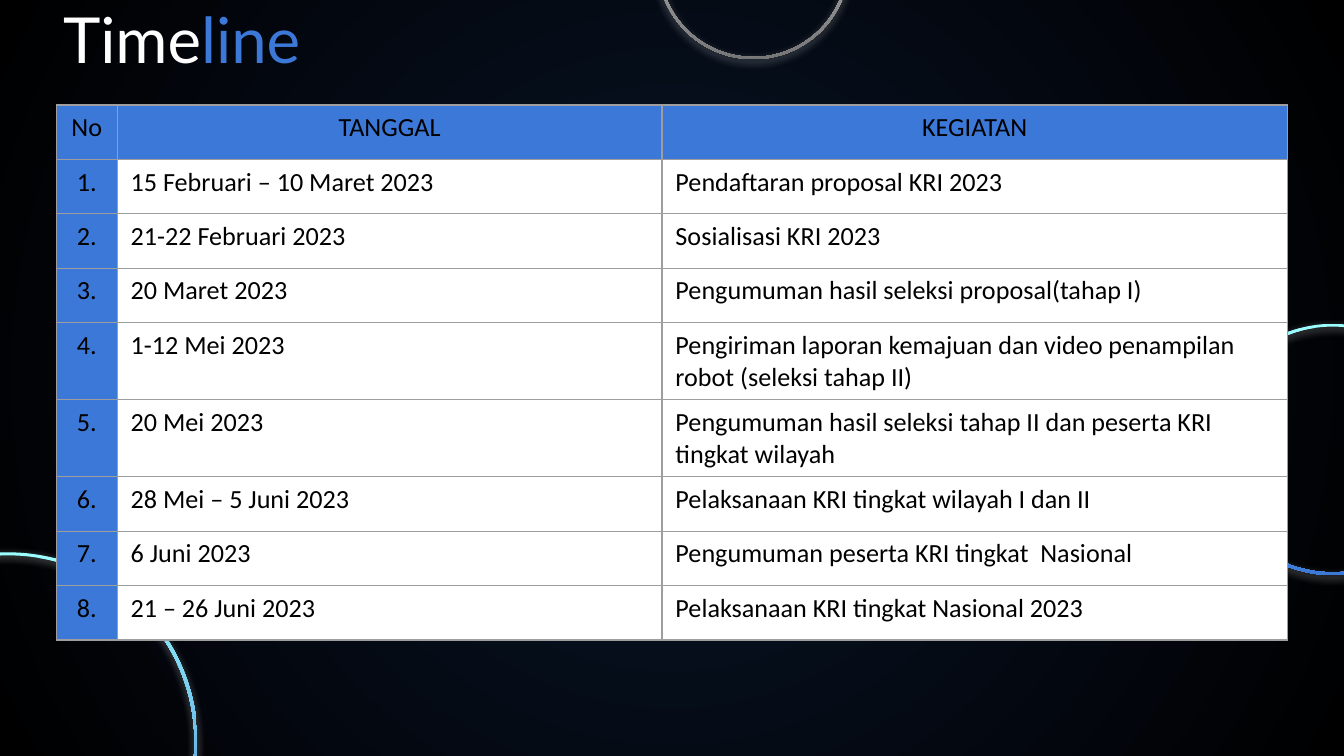
import pptx
import pptx.dml.color
import pptx.enum.shapes
import pptx.enum.text
import pptx.oxml
import pptx.oxml.ns
import pptx.util

Pt = pptx.util.Pt
PP_ALIGN = pptx.enum.text.PP_ALIGN
NS = pptx.oxml.ns.nsdecls("a")

BLUE, CYAN, WHITE, BLACK, GREY = "3C78D8", "9CFFFF", "FFFFFF", "000000", "9E9E9E"
TITLE = [("Time", WHITE), ("line", BLUE)]
HEADER = ("No", "TANGGAL", "KEGIATAN")
EVENTS = [
    ("15 Februari – 10 Maret 2023", "Pendaftaran proposal KRI 2023"),
    ("21-22 Februari 2023", "Sosialisasi KRI 2023"),
    ("20 Maret 2023", "Pengumuman hasil seleksi proposal(tahap I)"),
    ("1-12 Mei 2023", "Pengiriman laporan kemajuan dan video penampilan robot (seleksi tahap II)"),
    ("20 Mei 2023", "Pengumuman hasil seleksi tahap II dan peserta KRI tingkat wilayah"),
    ("28 Mei – 5 Juni 2023", "Pelaksanaan KRI tingkat wilayah I dan II"),
    ("6 Juni 2023", "Pengumuman peserta KRI tingkat  Nasional"),
    ("21 – 26 Juni 2023", "Pelaksanaan KRI tingkat Nasional 2023"),
]
RINGS = [
    (352.1, -71.3, 103, 0.012, ("CCCCCC", "767676")),
    (646.6, 173.5, 134.6, 0.011, (CYAN, BLUE)),
    (-97.2, 295.9, 203, 0.008, (CYAN, BLUE)),
]
COL_WIDTHS = (32.6, 291.9, 335)
ROW_HEIGHT = 29.16


def rgb(color):
    """Turn a hex string into a colour."""
    return pptx.dml.color.RGBColor.from_string(color)


def set_gradient(fill, colors):
    """Fill from top to bottom with two colours."""
    fill.gradient()
    fill.gradient_angle = 270
    for stop, color in zip(fill.gradient_stops, colors):
        stop.color.rgb = rgb(color)


def set_background(slide):
    """Give the slide a radial gradient."""
    set_gradient(slide.background.fill, ("09152A", BLACK))
    lin = next(slide.element.iter(pptx.oxml.ns.qn("a:lin")))
    lin.getparent().replace(lin, pptx.oxml.parse_xml(
        f'<a:path {NS} path="circle"><a:fillToRect l="50000" t="50000" r="50000" b="50000"/></a:path>'))


def add_ring(slide, left, top, size, thickness, colors):
    """Draw a thin glowing ring."""
    sp = slide.shapes.add_shape(pptx.enum.shapes.MSO_SHAPE.DONUT, Pt(left), Pt(top), Pt(size), Pt(size))
    sp.adjustments[0] = thickness
    set_gradient(sp.fill, colors)
    sp.line.fill.background()
    sp._element.spPr.append(pptx.oxml.parse_xml(
        f'<a:effectLst {NS}><a:outerShdw blurRad="{Pt(4.5)}" dist="{Pt(1.5)}" dir="5400000" '
        f'algn="bl" rotWithShape="0"><a:srgbClr val="{WHITE}"><a:alpha val="50000"/></a:srgbClr>'
        '</a:outerShdw></a:effectLst>'))


def set_title(sp):
    """Place and write the two-coloured title."""
    sp.left, sp.top, sp.width, sp.height = Pt(26.6), Pt(-7.2), Pt(219), Pt(45.4)
    tf = sp.text_frame
    tf.margin_left = tf.margin_right = tf.margin_top = tf.margin_bottom = Pt(7.2)
    tf.vertical_anchor = pptx.enum.text.MSO_ANCHOR.TOP
    tf.auto_size = pptx.enum.text.MSO_AUTO_SIZE.NONE
    p = tf.paragraphs[0]
    p.alignment = PP_ALIGN.LEFT
    p.line_spacing = 1.0
    p.font.size, p.font.name = Pt(34), "Lato"
    for text, color in TITLE:
        r = p.add_run()
        r.text = text
        r.font.color.rgb = rgb(color)


def format_cell(cell, text, heading):
    """Write one cell with its borders and fill."""
    tcPr = cell._tc.get_or_add_tcPr()
    for side in "LRTB":
        tcPr.append(pptx.oxml.parse_xml(
            f'<a:ln{side} {NS} w="{Pt(0.75)}"><a:solidFill><a:srgbClr val="{GREY}"/></a:solidFill></a:ln{side}>'))
    cell.fill.solid()
    cell.fill.fore_color.rgb = rgb(BLUE if heading else WHITE)
    cell.text = text
    p = cell.text_frame.paragraphs[0]
    p.alignment = PP_ALIGN.CENTER if heading else PP_ALIGN.LEFT
    p.font.size, p.font.name = Pt(14), "Calibri"
    p.font.color.rgb = rgb(BLACK)


def add_timeline(slide):
    """Build the table of dates and activities."""
    rows = [HEADER] + [(f"{n}.", *event) for n, event in enumerate(EVENTS, 1)]
    table = slide.shapes.add_table(
        len(rows), len(HEADER), Pt(30.2), Pt(56.3), Pt(sum(COL_WIDTHS)), Pt(ROW_HEIGHT * len(rows))).table
    table.first_row = table.horz_banding = False
    for column, width in zip(table.columns, COL_WIDTHS):
        column.width = Pt(width)
    for i, row in enumerate(rows):
        table.rows[i].height = Pt(ROW_HEIGHT)
        for j, text in enumerate(row):
            format_cell(table.cell(i, j), text, i == 0 or j == 0)


def main():
    """Build and save the slide."""
    prs = pptx.Presentation()
    prs.slide_width, prs.slide_height = Pt(720), Pt(405)
    slide = prs.slides.add_slide(prs.slide_layouts[5])
    set_background(slide)
    set_title(slide.shapes.title)
    for ring in RINGS:
        add_ring(slide, *ring)
    add_timeline(slide)
    prs.save("out.pptx")


if __name__ == "__main__":
    main()
